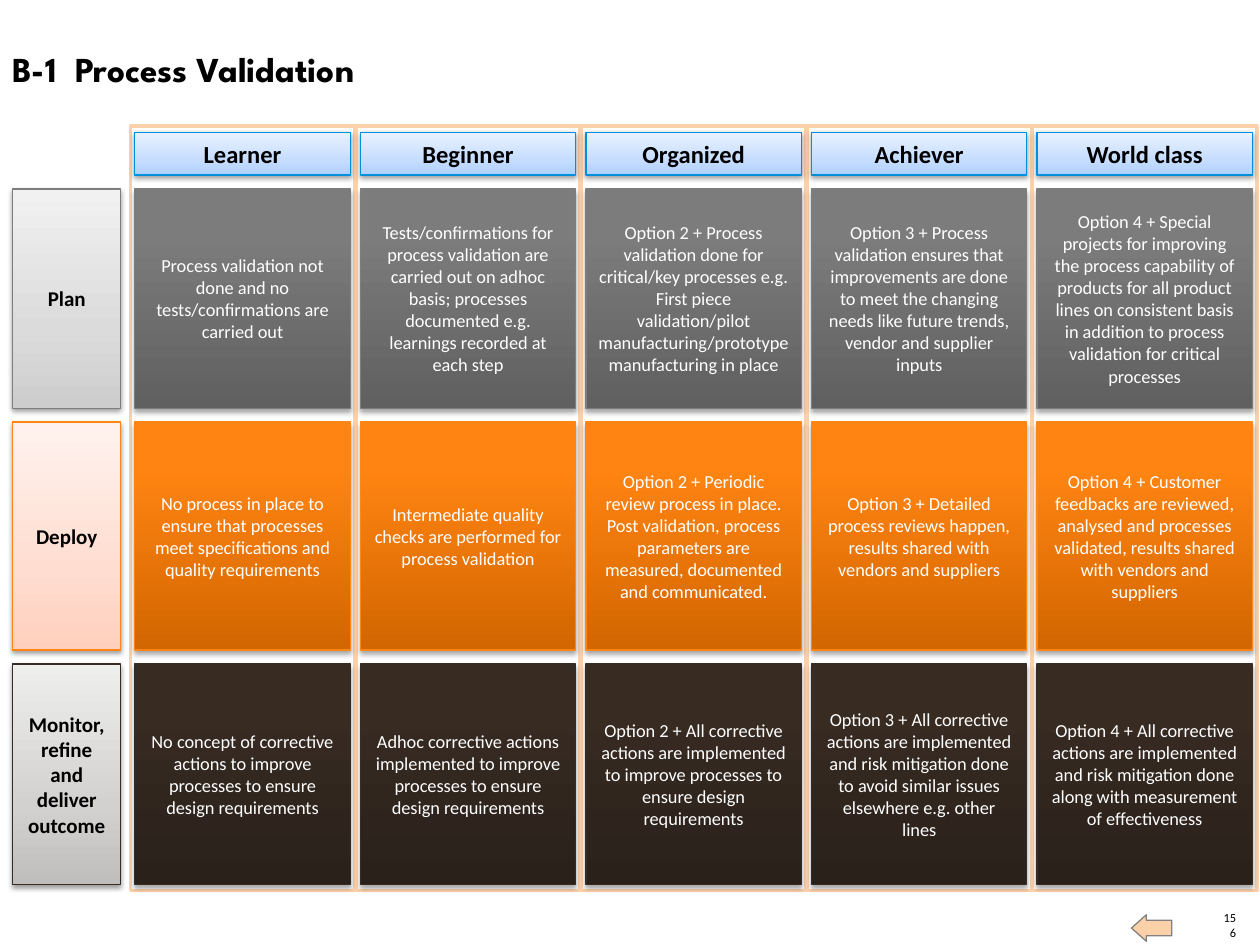
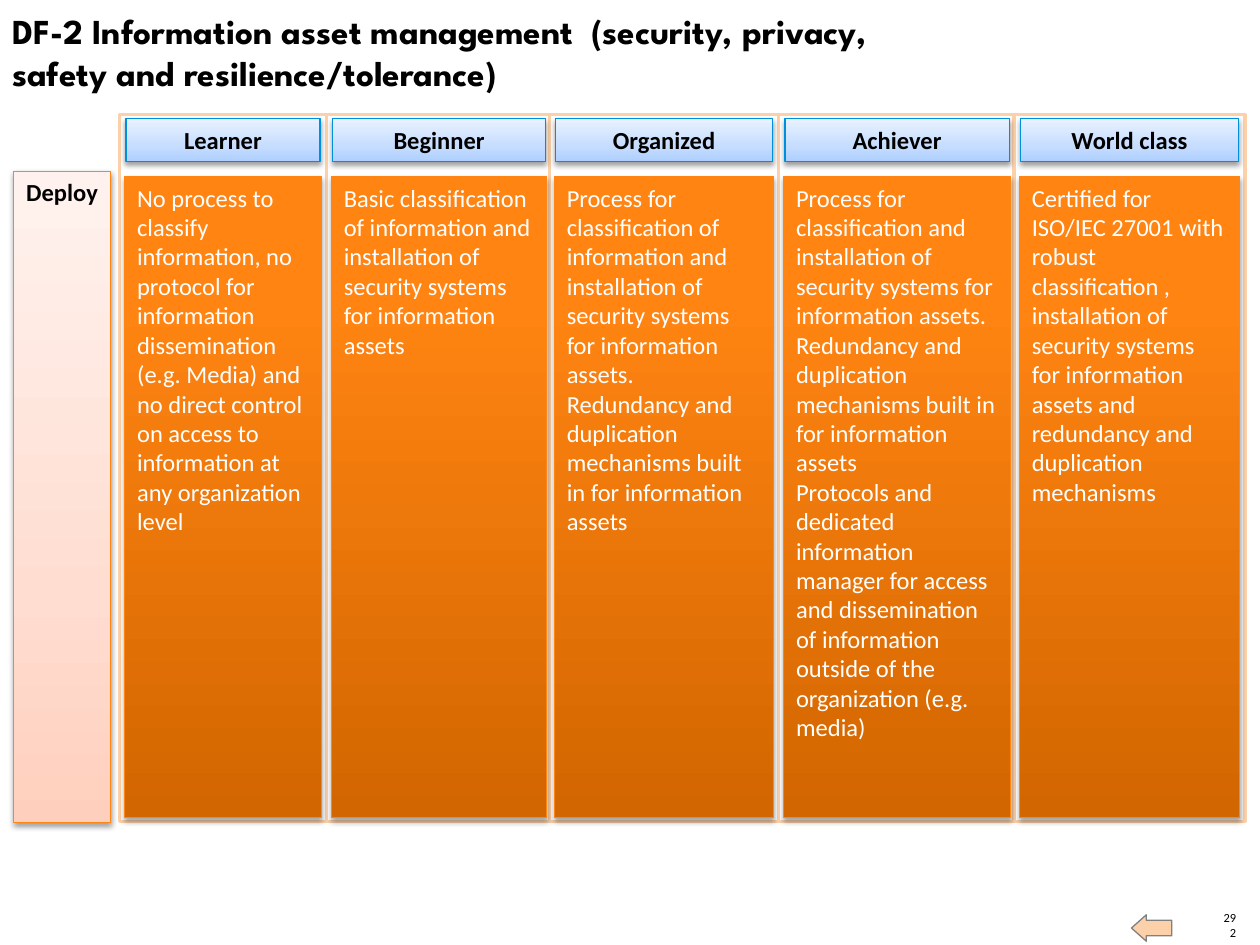
"""Build two maturity matrix slides on a 100 by 75 grid."""
from dataclasses import dataclass
from typing import Any, NamedTuple

from lxml import etree
from pptx import Presentation, util as u
from pptx.dml.color import RGBColor
from pptx.enum import shapes, text
from pptx.oxml.ns import qn

WIDTH, HEIGHT = u.Inches(10), u.Inches(7.5)
COL, ROW = WIDTH / 100, HEIGHT / 75

WHITE = RGBColor(0xFF, 0xFF, 0xFF)
BLACK = RGBColor(0x00, 0x00, 0x00)
PEACH = RGBColor(0xFC, 0xD1, 0xAA)
MID_GREY = RGBColor(0x80, 0x80, 0x80)
STEEL = RGBColor(0x7D, 0x7D, 0x7D)
ORANGE = RGBColor(0xFF, 0x86, 0x15)
BROWN = RGBColor(0x35, 0x2C, 0x25)
BLUE = RGBColor(0x00, 0x8F, 0xDC)

BODY_FONT, TITLE_FONT = "Calibri", "League Spartan"
LEVELS = ("Learner", "Beginner", "Organized", "Achiever", "World class")
HEAD_HEIGHT = 3.4


class Area(NamedTuple):
    """A rectangle in grid columns and rows."""
    left: float
    top: float
    width: float
    height: float

    def grow(self, across: float, down: float = 0) -> "Area":
        """Return the area enlarged on both sides of each axis."""
        return Area(self.left - across, self.top - down,
                    self.width + 2 * across, self.height + 2 * down)

    def lengths(self) -> tuple[int, ...]:
        """Return the area in slide units."""
        return (round(self.left * COL), round(self.top * ROW),
                round(self.width * COL), round(self.height * ROW))


class Paint(NamedTuple):
    """Gradient colours from bottom to top, with outline and shadow."""
    colours: tuple[RGBColor, RGBColor, RGBColor]
    middle: int
    line: RGBColor
    shadow_alpha: int
    shadow_distance: float


def pale(low: str, middle: str, high: str, line: RGBColor) -> Paint:
    """Return the light finish of headings and labels."""
    return Paint(tuple(map(RGBColor.from_string, (low, middle, high))), 35, line, 38, 1.6)


def strong(low: str, middle: str, high: str, line: RGBColor) -> Paint:
    """Return the dark finish of matrix cards."""
    return Paint(tuple(map(RGBColor.from_string, (low, middle, high))), 80, line, 35, 1.8)


HEAD_PAINT = pale("AECFFF", "C6DDFF", "E9F2FF", BLUE)
PLAN = (pale("CDCDCD", "DBDBDB", "F1F1F1", STEEL),
        strong("606060", "7C7C7C", "7D7D7D", STEEL))
DEPLOY = (pale("FFCFBD", "FFDDD1", "FFF2EE", ORANGE),
          strong("D26600", "FF8412", "FF8514", ORANGE))
MONITOR = (pale("C0BEBC", "D3D1D0", "EEEEED", BROWN),
           strong("2A211B", "372B22", "372B22", BROWN))


class Style(NamedTuple):
    """Type size, weight, colour and placing of text."""
    size: float
    bold: bool = False
    colour: RGBColor = BLACK
    align: Any = text.PP_ALIGN.CENTER
    anchor: Any = text.MSO_ANCHOR.MIDDLE
    font: str = BODY_FONT


HEAD_STYLE = Style(14, True)
TITLE_STYLE = Style(20, True, BLACK, text.PP_ALIGN.LEFT, text.MSO_ANCHOR.TOP, TITLE_FONT)
NUMBER_STYLE = Style(7.1, False, BLACK, text.PP_ALIGN.RIGHT, text.MSO_ANCHOR.BOTTOM)


@dataclass
class Band:
    """One row of the matrix: its label and a card for each level."""
    label: str
    paints: tuple[Paint, Paint]
    top: float
    height: float
    cards: tuple[str, ...]


@dataclass
class Matrix:
    """One slide: title, columns, rows and text styles."""
    title: str
    title_area: Area
    number: str
    columns: list[tuple[float, float]]
    frame: tuple[float, float]
    frame_pad: float
    head_top: float
    head_inset: float
    label_column: tuple[float, float]
    label_pad: float
    label_style: Style
    card_style: Style
    bands: list[Band]


def set_all(target: Any, formats: dict[str, Any]) -> None:
    """Set each named attribute on the target."""
    for name, value in formats.items():
        setattr(target, name, value)


def write(box: Any, words: str, style: Style, **frame_formats: Any) -> None:
    """Write one paragraph for each line of words."""
    frame = box.text_frame
    set_all(frame, {"word_wrap": True, "vertical_anchor": style.anchor, **frame_formats})
    for index, line in enumerate(words.split("\n")):
        para = frame.add_paragraph() if index else frame.paragraphs[0]
        para.alignment = style.align
        span = para.add_run()
        span.text = line
        set_all(span.font, {"name": style.font, "size": u.Pt(style.size), "bold": style.bold})
        span.font.color.rgb = style.colour


def add_solid(page: Any, kind: Any, area: Area, fill: RGBColor,
              line: RGBColor, weight: float) -> Any:
    """Add a shape with a flat fill and no shadow."""
    box = page.shapes.add_shape(kind, *area.lengths())
    box.shadow.inherit = False
    box.fill.solid()
    box.fill.fore_color.rgb = fill
    box.line.color.rgb = line
    box.line.width = u.Pt(weight)
    return box


def add_panel(page: Any, area: Area, paint: Paint, words: str, style: Style) -> None:
    """Add a shaded, shadowed rectangle with text."""
    box = add_solid(page, shapes.MSO_SHAPE.RECTANGLE, area, WHITE, paint.line, 0.75)
    box.fill.gradient()
    box.fill.gradient_angle = 90
    properties = box.element.spPr
    stops = properties.find(".//" + qn("a:gsLst"))
    for stop in list(stops):
        stops.remove(stop)
    for place, colour in zip((0, paint.middle, 100), paint.colours):
        stop = etree.SubElement(stops, qn("a:gs"), pos=str(place * 1000))
        etree.SubElement(stop, qn("a:srgbClr"), val=str(colour))
    shadow = etree.SubElement(
        properties.find(qn("a:effectLst")), qn("a:outerShdw"), blurRad=str(u.Pt(3.1)),
        dist=str(u.Pt(paint.shadow_distance)), dir="5400000", rotWithShape="0")
    tint = etree.SubElement(shadow, qn("a:srgbClr"), val=str(BLACK))
    etree.SubElement(tint, qn("a:alpha"), val=str(paint.shadow_alpha * 1000))
    write(box, words, style)


def add_furniture(page: Any, matrix: Matrix) -> None:
    """Add the page number, back arrow and title."""
    number = page.shapes.add_textbox(*Area(96.9, 73.4, 1.2, 1.2).lengths())
    margins = dict.fromkeys(("margin_left", "margin_top", "margin_right", "margin_bottom"), 0)
    write(number, matrix.number, NUMBER_STYLE, **margins)
    arrow = add_solid(page, shapes.MSO_SHAPE.RIGHT_ARROW, Area(89.8, 72.6, 3.2, 2.1),
                      PEACH, MID_GREY, 0.75)
    arrow.rotation = 180
    arrow.adjustments[0], arrow.adjustments[1] = 0.59, 0.56
    title = page.shapes.add_textbox(*matrix.title_area.lengths())
    write(title, matrix.title, TITLE_STYLE)


def add_matrix(deck: Any, matrix: Matrix) -> None:
    """Add a slide with its whole matrix."""
    page = deck.slides.add_slide(deck.slide_layouts[6])
    add_furniture(page, matrix)
    for left, width in matrix.columns:
        area = Area(left, matrix.frame[0], width, matrix.frame[1])
        add_solid(page, shapes.MSO_SHAPE.RECTANGLE, area.grow(matrix.frame_pad), WHITE, PEACH, 2)
    for band in matrix.bands:
        label_paint, card_paint = band.paints
        left, width = matrix.label_column
        area = Area(left, band.top, width, band.height).grow(0, matrix.label_pad)
        add_panel(page, area, label_paint, band.label, matrix.label_style)
        for (left, width), words in zip(matrix.columns, band.cards):
            area = Area(left, band.top, width, band.height)
            add_panel(page, area, card_paint, words, matrix.card_style)
    for (left, width), level in zip(matrix.columns, LEVELS):
        area = Area(left, matrix.head_top, width, HEAD_HEIGHT).grow(-matrix.head_inset)
        add_panel(page, area, HEAD_PAINT, level, HEAD_STYLE)


VALIDATION = Matrix(
    title="B-1  Process Validation", title_area=Area(0, 3.3, 86, 4.4), number="156",
    columns=[(10.7 + 17.9 * index, 17.1) for index in range(len(LEVELS))],
    frame=(10, 60.7), frame_pad=0.35, head_top=10.5, head_inset=0,
    label_column=(1, 8.6), label_pad=0,
    label_style=Style(12, True), card_style=Style(10.5, False, WHITE),
    bands=[
        Band("Plan", PLAN, 15, 17.4, (
            "Process validation not done and no tests/confirmations are carried out",
            "Tests/confirmations for process validation are carried out on adhoc basis; "
            "processes documented e.g. learnings recorded at each step",
            "Option 2 + Process validation done for critical/key processes e.g. First piece "
            "validation/pilot manufacturing/prototype manufacturing in place",
            "Option 3 + Process validation ensures that improvements are done to meet the "
            "changing needs like future trends, vendor and supplier inputs",
            "Option 4 + Special projects for improving the process capability of products for "
            "all product lines on consistent basis in addition to process validation for "
            "critical processes")),
        Band("Deploy", DEPLOY, 33.5, 18.1, (
            "No process in place to ensure that processes meet specifications and quality "
            "requirements",
            "Intermediate quality checks are performed for process validation",
            "Option 2 + Periodic review process in place. Post validation, process parameters "
            "are measured, documented and communicated.",
            "Option 3 + Detailed process reviews happen, results shared with vendors and "
            "suppliers",
            "Option 4 + Customer feedbacks are reviewed, analysed and processes validated, "
            "results shared with vendors and suppliers")),
        Band("Monitor, refine and deliver outcome", MONITOR, 52.7, 17.5, (
            "No concept of corrective actions to improve processes to ensure design "
            "requirements",
            "Adhoc corrective actions implemented to improve processes to ensure design "
            "requirements",
            "Option 2 + All corrective actions are implemented to improve processes to ensure "
            "design requirements",
            "Option 3 + All corrective actions are implemented and risk mitigation done to "
            "avoid similar issues elsewhere e.g. other lines",
            "Option 4 + All corrective actions are implemented and risk mitigation done along "
            "with measurement of effectiveness")),
    ])

TOP_LEFT = {"align": text.PP_ALIGN.LEFT, "anchor": text.MSO_ANCHOR.TOP}
ASSETS = Matrix(
    title="DF-2 Information asset management  (security, privacy, safety and "
          "resilience/tolerance)",
    title_area=Area(0, 0.3, 76.6, 7.7), number="292",
    columns=[(9.9, 15.6), (26.3, 17.1), (44, 17.4), (62.2, 18), (80.9, 17.5)],
    frame=(9.1, 56.1), frame_pad=0.4, head_top=9.4, head_inset=0.1,
    label_column=(1.1, 7.7), label_pad=0.4,
    label_style=Style(14, True, **TOP_LEFT), card_style=Style(14, False, WHITE, **TOP_LEFT),
    bands=[
        Band("Deploy", DEPLOY, 14, 50.9, (
            "No process to classify information, no protocol for information dissemination "
            "(e.g. Media) and no direct control on access to information at any organization "
            "level",
            "Basic classification of information and installation of security systems for "
            "information assets",
            "Process for classification of information and installation of security systems "
            "for information assets. Redundancy and duplication mechanisms built in for "
            "information assets",
            "Process for classification and installation of security systems for information "
            "assets. Redundancy and duplication mechanisms built in for information assets\n"
            "Protocols and dedicated information manager for access and dissemination of "
            "information outside of the organization (e.g. media)",
            "Certified for ISO/IEC 27001 with robust classification , installation of security "
            "systems for information assets and redundancy and duplication mechanisms")),
    ])


def main() -> None:
    """Build and save the deck."""
    deck = Presentation()
    set_all(deck, {"slide_width": WIDTH, "slide_height": HEIGHT})
    for matrix in (VALIDATION, ASSETS):
        add_matrix(deck, matrix)
    deck.save("out.pptx")


if __name__ == "__main__":
    main()
